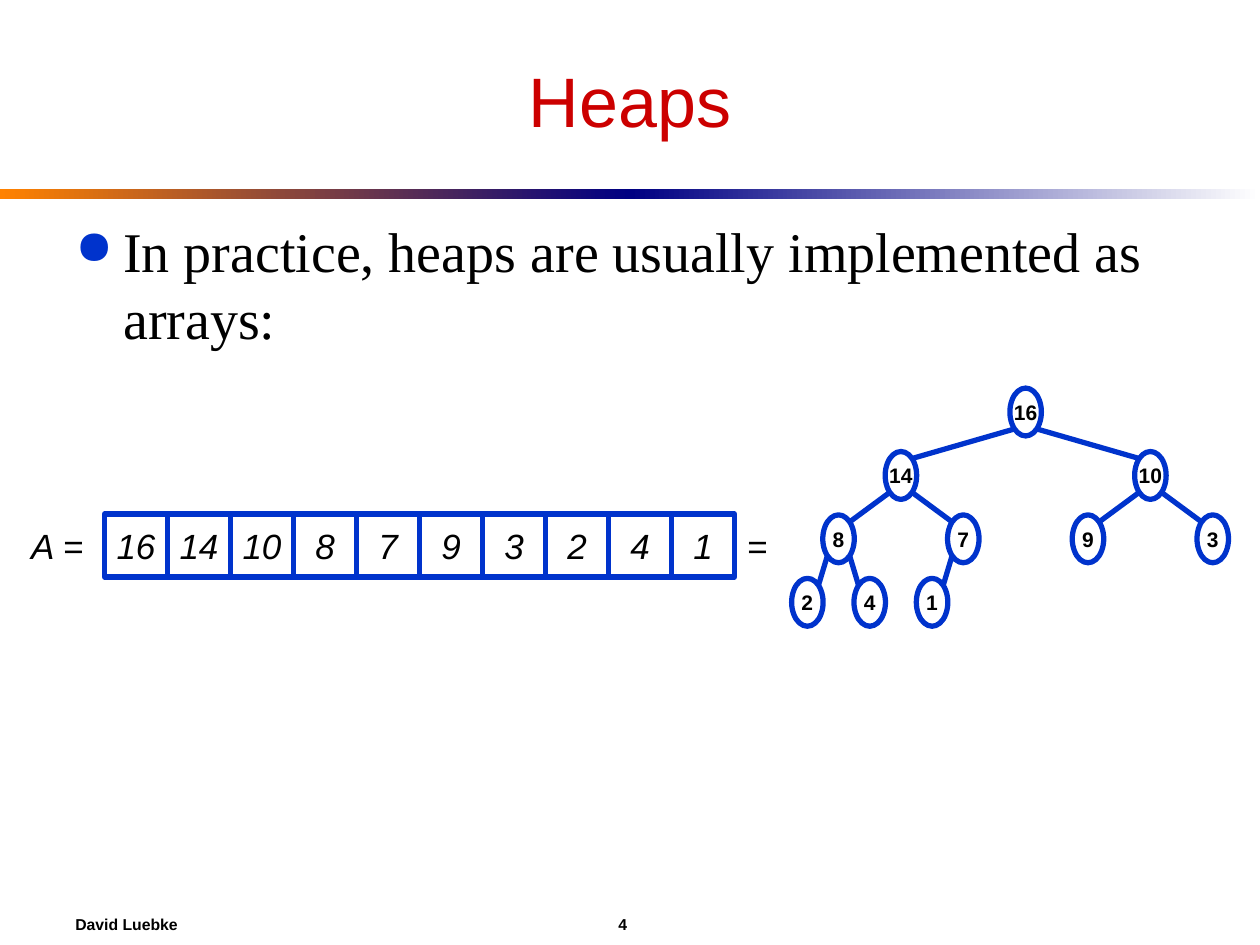
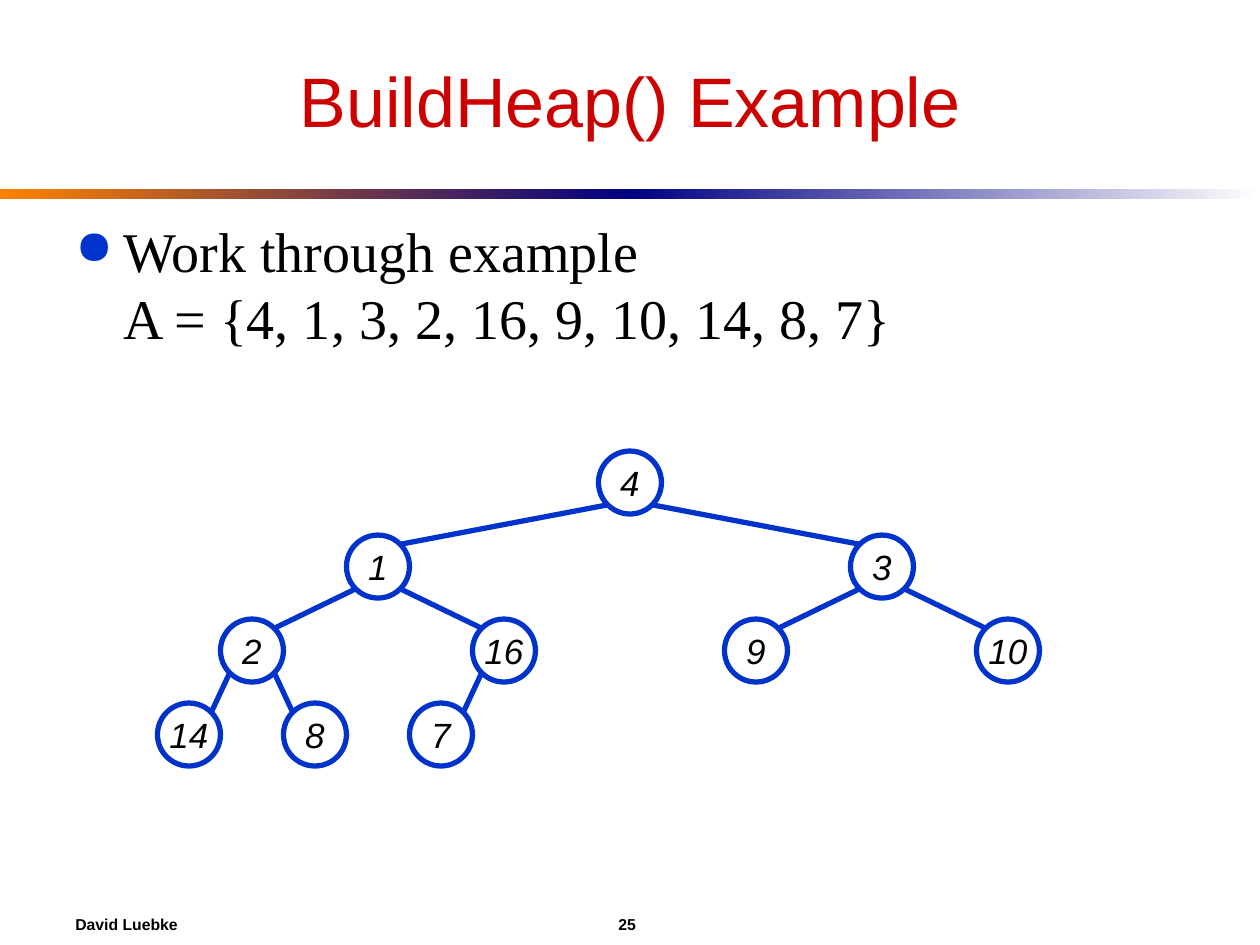
"""Build two lecture slides about heaps: array storage and a BuildHeap example."""
import pptx
import pptx.dml.color
import pptx.enum.shapes
import pptx.enum.text
import pptx.oxml
import pptx.oxml.ns
import pptx.util
from pptx.dml.color import RGBColor
from pptx.util import Inches

BLUE = RGBColor(0x00, 0x33, 0xCC)
RED = RGBColor(0xCC, 0x00, 0x00)
BLACK = RGBColor(0x00, 0x00, 0x00)
WHITE = RGBColor(0xFF, 0xFF, 0xFF)
ORANGE = RGBColor(0xFF, 0x82, 0x00)
NAVY = RGBColor(0x00, 0x00, 0x82)
SHAPES = pptx.enum.shapes.MSO_SHAPE
ALIGN = pptx.enum.text.PP_ALIGN
ANCHOR = pptx.enum.text.MSO_ANCHOR

AUTHOR = "David Luebke"
VALUE_STYLE = {"size": 20, "italic": True}
SMALL_STYLE = {"size": 12, "bold": True}
CELL = 0.5
ARRAY_LEFT, ARRAY_TOP = 0.83, 4.08
CORNER = 0.5 ** 0.5 / 2

SLIDES = [
    {
        "title": "Heaps",
        "number": 4,
        "body": "In practice, heaps are usually implemented as arrays:",
        "values": [16, 14, 10, 8, 7, 9, 3, 2, 4, 1],
        "tree": {"root": (8.14, 3.27), "spread": 0.99, "depth": 1.51,
                 "node": (0.25, 0.38), "style": SMALL_STYLE},
        "show_array": True,
    },
    {
        "title": "BuildHeap() Example",
        "number": 25,
        "body": "Work through example\nA = {4, 1, 3, 2, 16, 9, 10, 14, 8, 7}",
        "values": [4, 1, 3, 2, 16, 9, 10, 14, 8, 7],
        "tree": {"root": (5, 3.83), "spread": 2, "depth": 2,
                 "node": (0.5, 0.5), "style": VALUE_STYLE},
        "show_array": False,
    },
]


def write(shape, text, size=20, font="Arial", color=BLACK, bold=False, italic=False,
          align=ALIGN.CENTER, anchor=ANCHOR.MIDDLE, wrap=False):
    """Put formatted text into a shape and return its paragraph."""
    frame = shape.text_frame
    frame.word_wrap = wrap
    frame.vertical_anchor = anchor
    para = frame.paragraphs[0]
    para.text = text
    para.alignment = align
    for span in para.runs:
        span.font.name = font
        span.font.size = pptx.util.Pt(size)
        span.font.color.rgb = color
        span.font.bold = bold
        span.font.italic = italic
    return para


def add_text(page, text, left, top, width, height, **style):
    """Add a text box."""
    box = page.shapes.add_textbox(*map(Inches, (left, top, width, height)))
    return write(box, text, **style)


def add_value(page, kind, value, left, top, width, height, style):
    """Add an outlined shape that holds one value."""
    shape = page.shapes.add_shape(kind, *map(Inches, (left, top, width, height)))
    shape.shadow.inherit = False
    shape.fill.solid()
    shape.fill.fore_color.rgb = WHITE
    shape.line.color.rgb = BLUE
    shape.line.width = pptx.util.Pt(3)
    write(shape, str(value), **style)


def add_edge(page, *ends):
    """Add a plain line between two points of a tree."""
    edge = page.shapes.add_connector(pptx.enum.shapes.MSO_CONNECTOR.STRAIGHT, *map(Inches, ends))
    edge.line.color.rgb = BLUE
    edge.line.width = pptx.util.Pt(3)
    properties = edge._element.spPr
    properties.append(properties.makeelement(pptx.oxml.ns.qn("a:effectLst"), {}))


def add_band(page, left, start, end):
    """Add one half of the gradient band below the title."""
    band = page.shapes.add_shape(SHAPES.RECTANGLE, *map(Inches, (left, 1.5, 5, 0.08)))
    band.shadow.inherit = False
    band.line.fill.background()
    band.fill.gradient()
    band.fill.gradient_angle = 0
    for stop, color in zip(band.fill.gradient_stops, (start, end)):
        stop.color.rgb = color


def add_bullet(para):
    """Give a paragraph a hanging round bullet."""
    properties = para._p.get_or_add_pPr()
    properties.set("marL", str(Inches(0.38)))
    properties.set("indent", str(-Inches(0.38)))
    namespace = pptx.oxml.ns.nsdecls("a")
    for markup in (f'<a:buClr {namespace}><a:srgbClr val="{BLUE}"/></a:buClr>',
                   f'<a:buSzPct {namespace} val="85000"/>',
                   f'<a:buChar {namespace} char="●"/>'):
        properties.append(pptx.oxml.parse_xml(markup))


def add_frame(page, title, number, body):
    """Add the band, footer, title and body that every slide has."""
    add_band(page, 0, ORANGE, NAVY)
    add_band(page, 5, NAVY, WHITE)
    for text, left in ((AUTHOR, 0.5), (str(number), 4.81)):
        add_text(page, text, left, 7.17, 2, 0.33, size=9, bold=True, align=ALIGN.LEFT, wrap=True)
    add_text(page, title, 0.5, 0.25, 9, 1.08, size=40, color=RED, wrap=True)
    para = add_text(page, body, 0.5, 1.67, 9, 4.75, size=32, font="Times New Roman",
                    align=ALIGN.LEFT, anchor=ANCHOR.TOP, wrap=True)
    para.line_spacing = pptx.util.Pt(38.4)
    add_bullet(para)


def add_tree(page, values, root, spread, depth, node, style):
    """Draw a binary tree whose values are listed level by level."""
    width, height = node
    drop = depth / (len(values).bit_length() - 1)
    reach_x, reach_y = width * CORNER, height * CORNER
    centers = [root]
    for index in range(1, len(values)):
        x, y = centers[(index - 1) // 2]
        level = (index + 1).bit_length() - 1
        side = -1 if index % 2 else 1
        centers.append((x + side * spread / 2 ** (level - 1), y + drop))
    for value, (x, y) in zip(values, centers):
        add_value(page, SHAPES.OVAL, value, x - width / 2, y - height / 2, width, height, style)
    for index, (x, y) in enumerate(centers[1:], 1):
        parent_x, parent_y = centers[(index - 1) // 2]
        side = -1 if index % 2 else 1
        add_edge(page, parent_x + side * reach_x, parent_y + reach_y,
                 x - side * reach_x, y - reach_y)


def add_array(page, values):
    """Draw the values as a row of cells between its labels."""
    for index, value in enumerate(values):
        add_value(page, SHAPES.RECTANGLE, value, ARRAY_LEFT + index * CELL, ARRAY_TOP,
                  CELL, CELL, VALUE_STYLE)
    add_text(page, "A =", ARRAY_LEFT - 0.75, ARRAY_TOP, 0.75, CELL, **VALUE_STYLE)
    add_text(page, "=", ARRAY_LEFT + len(values) * CELL, ARRAY_TOP, 0.33, CELL, **VALUE_STYLE)


def main():
    """Build and save the deck."""
    deck = pptx.Presentation()
    deck.slide_width, deck.slide_height = Inches(10), Inches(7.5)
    for content in SLIDES:
        page = deck.slides.add_slide(deck.slide_layouts[6])
        add_frame(page, content["title"], content["number"], content["body"])
        add_tree(page, content["values"], **content["tree"])
        if content["show_array"]:
            add_array(page, content["values"])
    deck.save("out.pptx")


if __name__ == "__main__":
    main()
